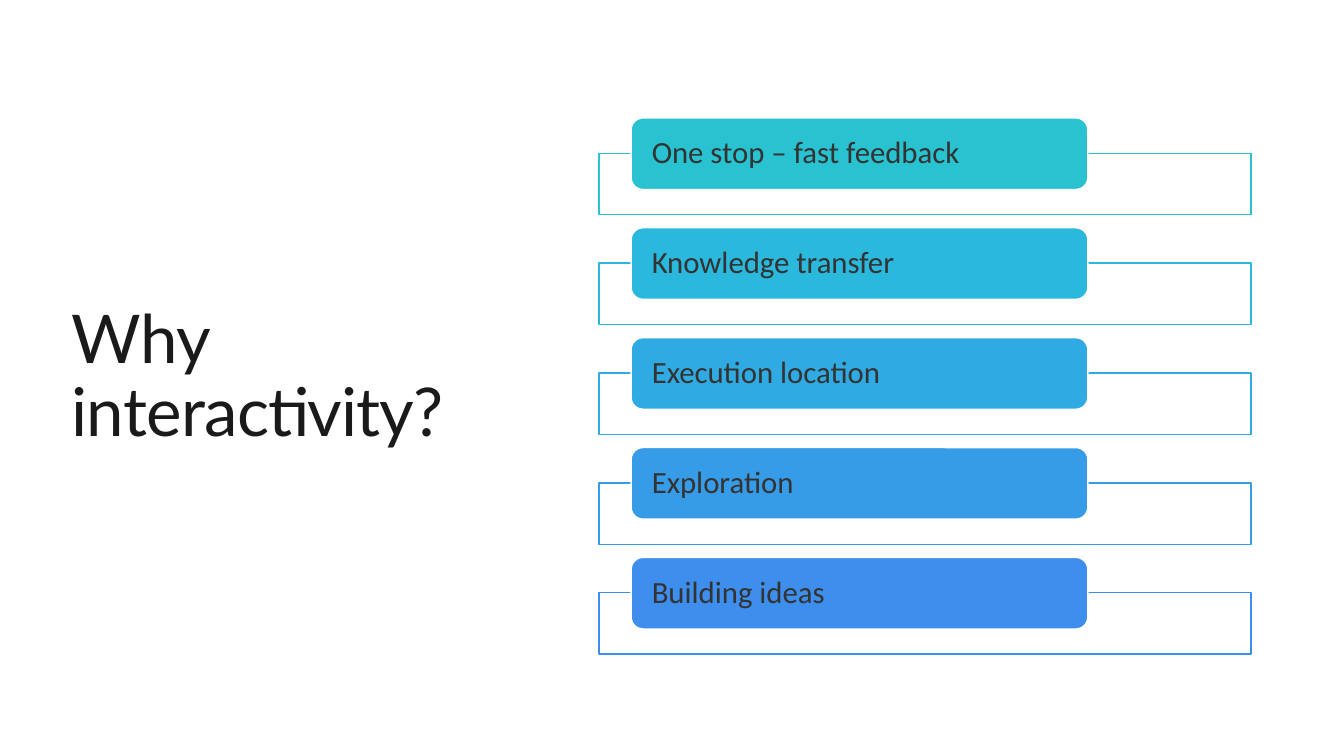
"""Builds the slide "Why interactivity?" with a list of five reasons."""
from pptx import Presentation
from pptx.dml.color import RGBColor
from pptx.enum.shapes import MSO_SHAPE
from pptx.enum.text import MSO_ANCHOR, PP_ALIGN
from pptx.oxml.ns import qn
from pptx.util import Inches, Pt
from lxml import etree

RECT, ROUND = MSO_SHAPE.RECTANGLE, MSO_SHAPE.ROUNDED_RECTANGLE
MIDDLE, LEFT = MSO_ANCHOR.MIDDLE, PP_ALIGN.LEFT
WHITE = "FFFFFF"
TITLE_LAYOUT = 5
REASONS = [
    ("One stop – fast feedback", "28C2D1"),
    ("Knowledge transfer", "2AB8DC"),
    ("Execution location", "30AAE2"),
    ("Exploration", "379CE8"),
    ("Building ideas", "3E8EED"),
]
TOP, STEP = 1.17, 1.09


def rgb(value):
    """Return the colour for a hex string."""
    return RGBColor.from_string(value)


def write(sp, text, *, size, font, color, inset=0, spacing=None):
    """Fill a shape with one left-aligned, vertically centred paragraph."""
    tf = sp.text_frame
    tf.word_wrap = True
    tf.vertical_anchor = MIDDLE
    tf.margin_left = tf.margin_right = Inches(inset)
    tf.margin_top = tf.margin_bottom = 0
    p = tf.paragraphs[0]
    p.alignment = LEFT
    p.line_spacing = 0.9
    r = p.add_run()
    r.text = text
    r.font.size = Pt(size)
    r.font.name = font
    r.font.color.rgb = rgb(color)
    if spacing is not None:
        r.font._element.set("spc", str(int(spacing * 100)))


class Deck:
    """Hold the fonts, text colours and current slide."""

    title_style = dict(size=48, font="Lato", color="1A1A1A", spacing=-0.5)
    label_style = dict(size=22, font="Calibri", color="333333", inset=0.17)

    def __init__(self, prs):
        """Add a title slide to the presentation."""
        self.s = prs.slides.add_slide(prs.slide_layouts[TITLE_LAYOUT])

    def title(self, text, x, y, w, h):
        """Place and write the title placeholder."""
        sp = self.s.shapes.title
        sp.left, sp.top, sp.width, sp.height = map(Inches, (x, y, w, h))
        write(sp, text, **self.title_style)

    def box(self, kind, x, y, w, h, fill, line, alpha=None):
        """Add a filled and outlined shape."""
        sp = self.s.shapes.add_shape(kind, *map(Inches, (x, y, w, h)))
        sp.shadow.inherit = False
        sp.fill.solid()
        sp.fill.fore_color.rgb = rgb(fill)
        sp.line.color.rgb = rgb(line)
        sp.line.width = Pt(1)
        if alpha is not None:
            clr = sp.fill._xPr.find(qn("a:solidFill"))[0]
            etree.SubElement(clr, qn("a:alpha")).set("val", str(alpha * 1000))
        return sp

    def reason(self, text, color, y):
        """Add an outlined frame with a coloured label over its top edge."""
        self.box(RECT, 5.94, y + 0.35, 6.47, 0.61, WHITE, color, alpha=90)
        label = self.box(ROUND, 6.26, y, 4.53, 0.71, color, WHITE)
        write(label, text, **self.label_style)


def main():
    """Build and save the presentation."""
    prs = Presentation()
    prs.slide_width, prs.slide_height = Inches(13.33), Inches(7.5)
    deck = Deck(prs)
    deck.title("Why interactivity?", 0.71, 1.2, 4.15, 5.1)
    for i, (text, color) in enumerate(REASONS):
        deck.reason(text, color, TOP + i * STEP)
    prs.save("out.pptx")


if __name__ == "__main__":
    main()
